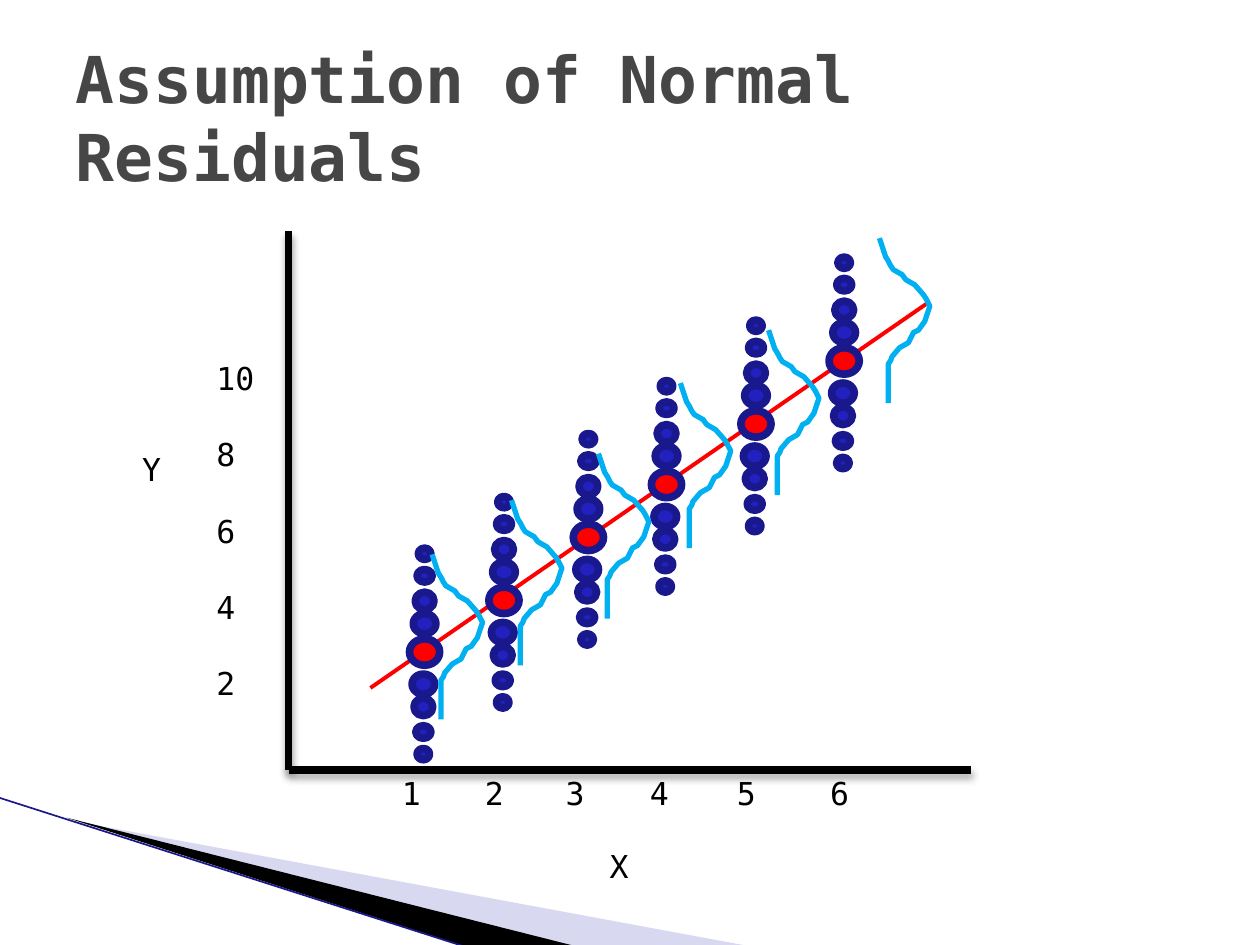
from lxml.etree import SubElement
from pptx import Presentation
from pptx.dml.color import RGBColor
from pptx.enum.shapes import MSO_CONNECTOR, MSO_SHAPE
from pptx.enum.text import MSO_ANCHOR, MSO_AUTO_SIZE, PP_ALIGN
from pptx.oxml.ns import qn
from pptx.util import Inches, Pt

FONT = "DejaVu Sans Mono"
COLUMNS, ROWS = 100, 75

deck = Presentation()
deck.slide_width, deck.slide_height = Inches(10), Inches(7.5)
CELL = deck.slide_width // COLUMNS
slide = deck.slides.add_slide(deck.slide_layouts[5])
shapes = slide.shapes


def cells(*counts):
    """Turn grid counts into lengths."""
    return [round(count * CELL) for count in counts]


def paint(part, color, width=None):
    """Colour a fill or, when a width is given, a line."""
    if width:
        part.width = Pt(width)
    else:
        part.solid()
    color_format = part.color if width else part.fore_color
    color_format.rgb = RGBColor.from_string(color)


# Corner decoration
wedges = [
    ([(5.5, 65.1), (59.5, 75.1), (45.6, 75.1)], "9F9FDC", 40),
    ([(5.3, 64.9), (45.7, 75.1), (37.2, 75.2)], "000000", 100),
]
for corners, color, opacity in wedges:
    start, *rest = [cells(*corner) for corner in corners]
    builder = shapes.build_freeform(*start)
    builder.add_line_segments(rest)
    wedge = builder.convert_to_shape()
    wedge.shadow.inherit = False
    paint(wedge.fill, color)
    wedge.line.fill.background()
    color_node = wedge.fill._xPr.find(".//" + qn("a:srgbClr"))
    SubElement(color_node, qn("a:alpha"), val=str(opacity * 1000))

# Title
title = shapes.title
title.left, title.top, title.width, title.height = cells(5, 3, 90, 12.5)
title.text = "Assumption of Normal Residuals"
title.text_frame.auto_size = MSO_AUTO_SIZE.NONE
title.text_frame.vertical_anchor = MSO_ANCHOR.MIDDLE
heading = title.text_frame.paragraphs[0]
heading.alignment = PP_ALIGN.LEFT
heading.font.name, heading.font.size, heading.font.bold = FONT, Pt(36.9), True
paint(heading.font.fill, "464646")

# Corner edge, axes and regression line
origin = (22.9, 61.1)
lines = [
    ((-0.1, 63.3), (37.1, 75.2), "19188D", 0.95, False),
    ((22.9, 18.3), origin, "000000", 4.33, True),
    (origin, (77.1, 61.1), "000000", 4.33, True),
    ((29.4, 54.6), (73.7, 24), "FF0000", 2.25, False),
]
for start, end, color, width, shaded in lines:
    line = shapes.add_connector(MSO_CONNECTOR.STRAIGHT, *cells(*start, *end))
    paint(line.line, color, width)
    effects = SubElement(line._element.spPr, qn("a:effectLst"))
    if shaded:
        shadow = SubElement(effects, qn("a:outerShdw"), blurRad=str(Pt(4)),
                            dist=str(Pt(3)), dir="5400000", rotWithShape="0")
        black = SubElement(shadow, qn("a:srgbClr"), val="000000")
        SubElement(black, qn("a:alpha"), val="35000")

# Observations: one column of dots for each x, largest at the mean
means = [(33.7, 51.75), (40, 47.65), (46.7, 42.65),
         (52.9, 38.45), (60, 33.65), (67, 28.65)]
dot_sizes = [(1, 0.9), (1.2, 1), (1.5, 1.4), (1.8, 1.6)]
above = [-7.8, -6.05, -4.05, -2.25]
below = [8.1, 6.35, 4.35, 2.55]
dots = [(0, dy, *size, "2221BF") for dy, size in zip(above, dot_sizes)]
dots += [(0, 0, 2.4, 2.1, "FF0000")]
dots += [(-0.1, dy, *size, "2221BF") for dy, size in zip(below, dot_sizes)]
for mean_x, mean_y in means:
    observations = shapes.add_group_shape()
    for dx, dy, width, height, color in dots:
        dot = observations.shapes.add_shape(MSO_SHAPE.OVAL, *cells(
            mean_x + dx - width / 2, mean_y + dy - height / 2, width, height))
        dot.shadow.inherit = False
        paint(dot.fill, color)
        paint(dot.line, "19188D", 4.33)

# Normal curves turned on their side
bell = [(0.4, 1.2), (0.5, 1.5), (0.7, 1.8), (0.9, 2.2), (1.1, 2.5), (1.8, 2.9),
        (2.1, 3.3), (2.8, 3.7), (3.5, 4.5), (3.7, 4.8), (4, 5.4), (3.8, 6),
        (3.6, 6.6), (3.1, 7.3), (2.7, 7.5), (2.3, 8.3), (1.6, 8.7), (1, 9.4),
        (0.9, 9.7), (0.7, 10), (0.7, 13.1)]
bell_tops = [(34.3, 44), (40.6, 39.7), (47.5, 36), (54, 30.4), (61, 26.2), (69.8, 18.9)]
for left, top in bell_tops:
    builder = shapes.build_freeform(*cells(left, top))
    builder.add_line_segments([cells(left + dx, top + dy) for dx, dy in bell], close=False)
    curve = builder.convert_to_shape()
    curve.shadow.inherit = False
    curve.fill.background()
    paint(curve.line, "00B0F0", 3)

# Axis labels
tick_lefts = [30.9, 37.5, 43.9, 50.6, 57.5, 64.9]
labels = [([str(x)], (left, 60.9, 4.1, 4)) for x, left in enumerate(tick_lefts, 1)]
labels += [
    (["Y"], (10.3, 35.2, 6, 4)),
    ([str(y) for y in range(10, 0, -2)], (16.2, 28, 6, 28.3)),
    (["X"], (47.4, 66.7, 3.3, 5)),
]
for texts, place in labels:
    frame = shapes.add_textbox(*cells(*place)).text_frame
    frame.word_wrap = True
    frame.auto_size = MSO_AUTO_SIZE.SHAPE_TO_FIT_TEXT
    frame.text = "\n".join(texts)
    for index, paragraph in enumerate(frame.paragraphs):
        paragraph.font.name, paragraph.font.size = FONT, Pt(18)
        paint(paragraph.font.fill, "000000")
        paragraph.space_before = Pt(22 if index else 0)

deck.save("out.pptx")
